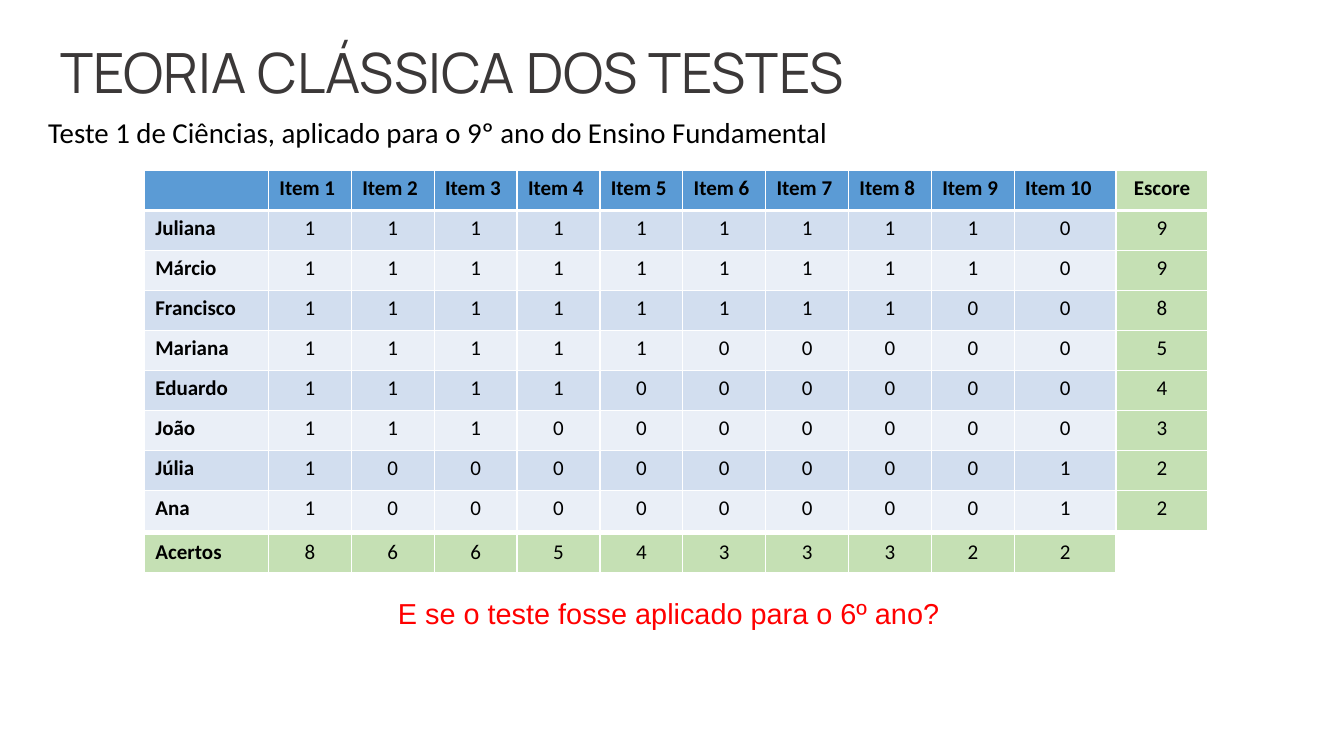
from dataclasses import dataclass

from lxml.etree import SubElement
from pptx import Presentation
from pptx.dml.color import RGBColor
from pptx.enum.text import MSO_ANCHOR, MSO_AUTO_SIZE, PP_ALIGN
from pptx.oxml.ns import qn
from pptx.slide import Slide
from pptx.text.text import TextFrame
from pptx.util import Pt


@dataclass(frozen=True)
class Theme:
    title_font: str = "Manrope"
    text_font: str = "Calibri"
    question_font: str = "Arial"
    title_size: float = 39.6
    text_size: float = 20.6
    cell_size: float = 15
    title: str = "3B3838"
    text: str = "000000"
    question: str = "FF0000"
    header: str = "5B9BD5"
    bands: tuple[str, str] = ("D2DEEF", "EAEFF7")
    total: str = "C5E0B4"
    border: str = "FFFFFF"


@dataclass(frozen=True)
class Box:
    left: float
    top: float
    width: float
    height: float


@dataclass(frozen=True)
class Cell:
    text: str
    fill: str
    bold: bool = False
    align: PP_ALIGN = PP_ALIGN.CENTER
    bottom_border: float = 1


@dataclass(frozen=True)
class Grid:
    left: float
    top: float
    columns: list[float]
    rows: list[list[Cell]]


THEME = Theme()
ITEM_COUNT = 10
ROW_HEIGHT = 28.58
TABLE_LEFT, TABLE_TOP = 103.2, 121.7
ITEM_COLUMNS = [88.6] + [59.2] * (ITEM_COUNT - 1) + [72.7]
SCORE_WIDTH = 65.5
TOTALS_TOP = 381.6

ANSWERS = {
    "Juliana": "1111111110",
    "Márcio": "1111111110",
    "Francisco": "1111111100",
    "Mariana": "1111100000",
    "Eduardo": "1111000000",
    "João": "1110000000",
    "Júlia": "1000000001",
    "Ana": "1000000001",
}


def write(frame: TextFrame, text: str, *, size: float, color: str,
          font: str = THEME.text_font, bold: bool = False,
          align: PP_ALIGN = PP_ALIGN.LEFT, spacing: float = 1.0) -> None:
    paragraph = frame.paragraphs[0]
    paragraph.alignment = align
    paragraph.line_spacing = spacing
    paragraph.space_before = Pt(0)
    run = paragraph.add_run()
    run.text = text
    run.font.name = font
    run.font.size = Pt(size)
    run.font.bold = bold
    run.font.color.rgb = RGBColor.from_string(color)


def place(shape, box: Box, anchor: MSO_ANCHOR) -> TextFrame:
    """Set the box of a text shape and return its wrapped text frame."""
    shape.left, shape.top = Pt(box.left), Pt(box.top)
    shape.width, shape.height = Pt(box.width), Pt(box.height)
    frame = shape.text_frame
    frame.word_wrap = True
    frame.auto_size = MSO_AUTO_SIZE.NONE
    frame.vertical_anchor = anchor
    return frame


def remove_bullet(frame: TextFrame) -> None:
    properties = frame.paragraphs[0]._p.get_or_add_pPr()
    properties.set("marL", "0")
    properties.set("indent", "0")
    SubElement(properties, qn("a:buNone"))


def add_borders(table_cell, bottom: float) -> None:
    properties = table_cell._tc.get_or_add_tcPr()
    for side, width in (("L", 1), ("R", 1), ("T", 1), ("B", bottom)):
        line = SubElement(properties, qn(f"a:ln{side}"), w=str(Pt(width)))
        fill = SubElement(line, qn("a:solidFill"))
        SubElement(fill, qn("a:srgbClr"), val=THEME.border)


def add_grid(slide: Slide, grid: Grid) -> None:
    table = slide.shapes.add_table(
        len(grid.rows), len(grid.columns), Pt(grid.left), Pt(grid.top),
        Pt(sum(grid.columns)), Pt(ROW_HEIGHT * len(grid.rows))).table
    table.first_row = table.horz_banding = False
    for column, width in zip(table.columns, grid.columns):
        column.width = Pt(width)
    for row, cells in zip(table.rows, grid.rows):
        row.height = Pt(ROW_HEIGHT)
        for table_cell, cell in zip(row.cells, cells):
            add_borders(table_cell, cell.bottom_border)
            table_cell.fill.solid()
            table_cell.fill.fore_color.rgb = RGBColor.from_string(cell.fill)
            table_cell.margin_left = table_cell.margin_right = Pt(7.8)
            table_cell.margin_top = table_cell.margin_bottom = Pt(3.6)
            write(table_cell.text_frame, cell.text, size=THEME.cell_size,
                  color=THEME.text, bold=cell.bold, align=cell.align)


def answer_grid() -> Grid:
    labels = [""] + [f"Item {n}" for n in range(1, ITEM_COUNT + 1)]
    rows = [[Cell(label, THEME.header, True, PP_ALIGN.LEFT, 3) for label in labels]]
    for index, (student, answers) in enumerate(ANSWERS.items()):
        band = THEME.bands[index % 2]
        rows.append([Cell(student, band, True, PP_ALIGN.LEFT)]
                    + [Cell(answer, band) for answer in answers])
    return Grid(TABLE_LEFT, TABLE_TOP, ITEM_COLUMNS, rows)


def score_grid() -> Grid:
    scores = [[Cell(str(answers.count("1")), THEME.total)]
              for answers in ANSWERS.values()]
    header = [Cell("Escore", THEME.total, True, bottom_border=3)]
    return Grid(TABLE_LEFT + sum(ITEM_COLUMNS), TABLE_TOP, [SCORE_WIDTH],
                [header] + scores)


def item_total_grid() -> Grid:
    totals = [Cell(str(item.count("1")), THEME.total, bottom_border=3)
              for item in zip(*ANSWERS.values())]
    label = Cell("Acertos", THEME.total, True, PP_ALIGN.LEFT, 3)
    return Grid(TABLE_LEFT, TOTALS_TOP, ITEM_COLUMNS, [[label] + totals])


def main() -> None:
    presentation = Presentation()
    presentation.slide_width, presentation.slide_height = Pt(960), Pt(540)
    slide = presentation.slides.add_slide(presentation.slide_layouts[1])

    heading = place(slide.shapes.title, Box(36, 27.4, 858.2, 52.6), MSO_ANCHOR.MIDDLE)
    write(heading, "TEORIA CLÁSSICA DOS TESTES", size=THEME.title_size,
          color=THEME.title, font=THEME.title_font, spacing=0.9)

    subtitle = place(slide.placeholders[1], Box(0, 81.4, 625.7, 38.9), MSO_ANCHOR.TOP)
    remove_bullet(subtitle)
    write(subtitle, "Teste 1 de Ciências, aplicado para o 9º ano do Ensino Fundamental",
          size=THEME.text_size, color=THEME.text, align=PP_ALIGN.CENTER, spacing=0.9)

    for grid in (answer_grid(), score_grid(), item_total_grid()):
        add_grid(slide, grid)

    question_box = slide.shapes.add_textbox(0, 0, 0, 0)
    question = place(question_box, Box(277.2, 413.3, 405.4, 46.8), MSO_ANCHOR.TOP)
    question.margin_top = question.margin_bottom = 0
    write(question, "E se o teste fosse aplicado para o 6º ano?", size=THEME.text_size,
          color=THEME.question, font=THEME.question_font, spacing=1.5)

    presentation.save("out.pptx")


if __name__ == "__main__":
    main()
